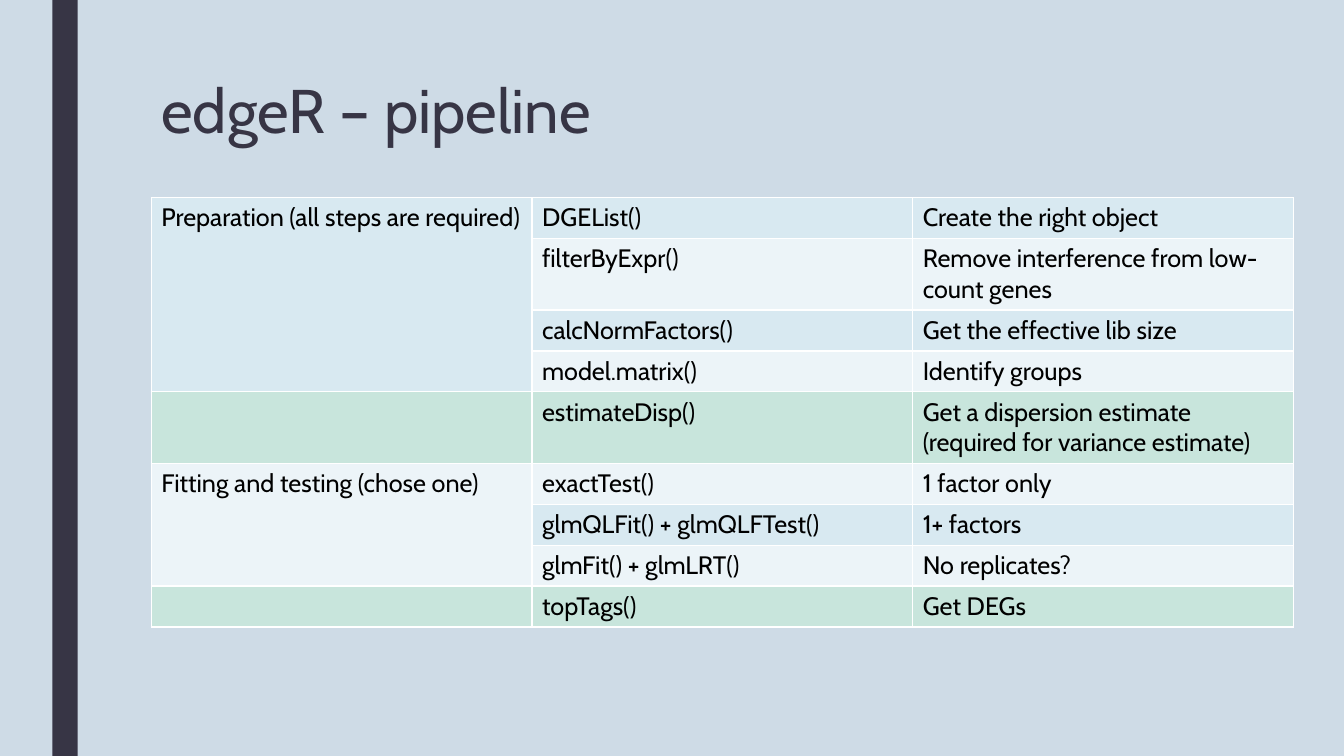
from lxml import etree
from pptx import Presentation
from pptx.dml.color import RGBColor
from pptx.enum.shapes import MSO_SHAPE
from pptx.enum.text import MSO_ANCHOR, PP_ALIGN
from pptx.oxml.ns import qn
from pptx.util import Inches, Pt

RECTANGLE = MSO_SHAPE.RECTANGLE
TOP = MSO_ANCHOR.TOP
LEFT = PP_ALIGN.LEFT

BACKGROUND = RGBColor(0xCE, 0xDB, 0xE6)
DARK = RGBColor(0x37, 0x35, 0x45)
BLACK = RGBColor(0x00, 0x00, 0x00)
WHITE = RGBColor(0xFF, 0xFF, 0xFF)
BANDS = (RGBColor(0xD8, 0xE9, 0xF1), RGBColor(0xEC, 0xF4, 0xF8))
HIGHLIGHT = RGBColor(0xC8, 0xE5, 0xDC)

WIDTH, HEIGHT = Inches(13.33), Inches(7.5)
CONTENT_LEFT = Inches(1.5)
TABLE_TOP, TABLE_WIDTH = Inches(1.96), Inches(11.33)
ROW_HEIGHT = Inches(0.4)
FONT = "Cabin"
TITLE_FORMAT = {"name": FONT, "size": Pt(44), "bold": False}
CELL_FORMAT = {"name": FONT, "size": Pt(18), "bold": False}

# Each stage holds its steps; a stage without a name is highlighted.
STAGES = [
    ("Preparation (all steps are required)", [
        ("DGEList()", "Create the right object"),
        ("filterByExpr()", "Remove interference from low-count genes"),
        ("calcNormFactors()", "Get the effective lib size"),
        ("model.matrix()", "Identify groups"),
    ]),
    ("", [("estimateDisp()",
           "Get a dispersion estimate (required for variance estimate)")]),
    ("Fitting and testing (chose one)", [
        ("exactTest()", "1 factor only"),
        ("glmQLFit() + glmQLFTest()", "1+ factors"),
        ("glmFit() + glmLRT()", "No replicates?"),
    ]),
    ("", [("topTags()", "Get DEGs")]),
]


def format_font(font, values, color):
    for name, value in values.items():
        setattr(font, name, value)
    font.color.rgb = color


def add_side_bar(slide):
    bar = slide.shapes.add_shape(
        RECTANGLE, Inches(0.52), 0, Inches(0.25), HEIGHT)
    bar.shadow.inherit = False
    bar.fill.solid()
    bar.fill.fore_color.rgb = DARK
    bar.line.fill.background()


def set_title(slide, text):
    title = slide.shapes.title
    title.left, title.top = CONTENT_LEFT, Inches(0.75)
    title.width, title.height = Inches(10.5), Inches(1.62)
    frame = title.text_frame
    frame.text = text
    frame.vertical_anchor = TOP
    frame.word_wrap = True
    paragraph = frame.paragraphs[0]
    paragraph.alignment = LEFT
    paragraph.line_spacing = 0.89
    format_font(paragraph.runs[0].font, TITLE_FORMAT, DARK)


def add_borders(cell):
    """Put a thin white line on all four sides, ahead of the cell's fill."""
    properties = cell._tc.get_or_add_tcPr()
    for index, side in enumerate(("lnL", "lnR", "lnT", "lnB")):
        line = etree.Element(qn(f"a:{side}"), w=str(Pt(1)))
        fill = etree.SubElement(line, qn("a:solidFill"))
        etree.SubElement(fill, qn("a:srgbClr"), val=str(WHITE))
        properties.insert(index, line)


def fill_cell(cell, text, color):
    cell.fill.solid()
    cell.fill.fore_color.rgb = color
    add_borders(cell)
    paragraph = cell.text_frame.paragraphs[0]
    format_font(paragraph.font, CELL_FORMAT, BLACK)
    if text:
        run = paragraph.add_run()
        run.text = text
        format_font(run.font, CELL_FORMAT, BLACK)


def add_pipeline_table(slide):
    row_count = sum(len(steps) for _, steps in STAGES)
    table = slide.shapes.add_table(
        row_count, 3, CONTENT_LEFT, TABLE_TOP,
        TABLE_WIDTH, ROW_HEIGHT * row_count).table
    table.first_row = False
    table.horz_banding = False

    row = 0
    for stage, steps in STAGES:
        first_row = row
        for step in steps:
            color = BANDS[row % 2] if stage else HIGHLIGHT
            label = stage if row == first_row else ""
            for column, text in enumerate((label, *step)):
                fill_cell(table.cell(row, column), text, color)
            row += 1
        if len(steps) > 1:
            table.cell(first_row, 0).merge(table.cell(row - 1, 0))


def main():
    presentation = Presentation()
    presentation.slide_width, presentation.slide_height = WIDTH, HEIGHT
    title_only = presentation.slide_layouts.get_by_name("Title Only")
    slide = presentation.slides.add_slide(title_only)
    slide.background.fill.solid()
    slide.background.fill.fore_color.rgb = BACKGROUND

    add_side_bar(slide)
    set_title(slide, "edgeR – pipeline")
    add_pipeline_table(slide)
    presentation.save("out.pptx")


if __name__ == "__main__":
    main()
